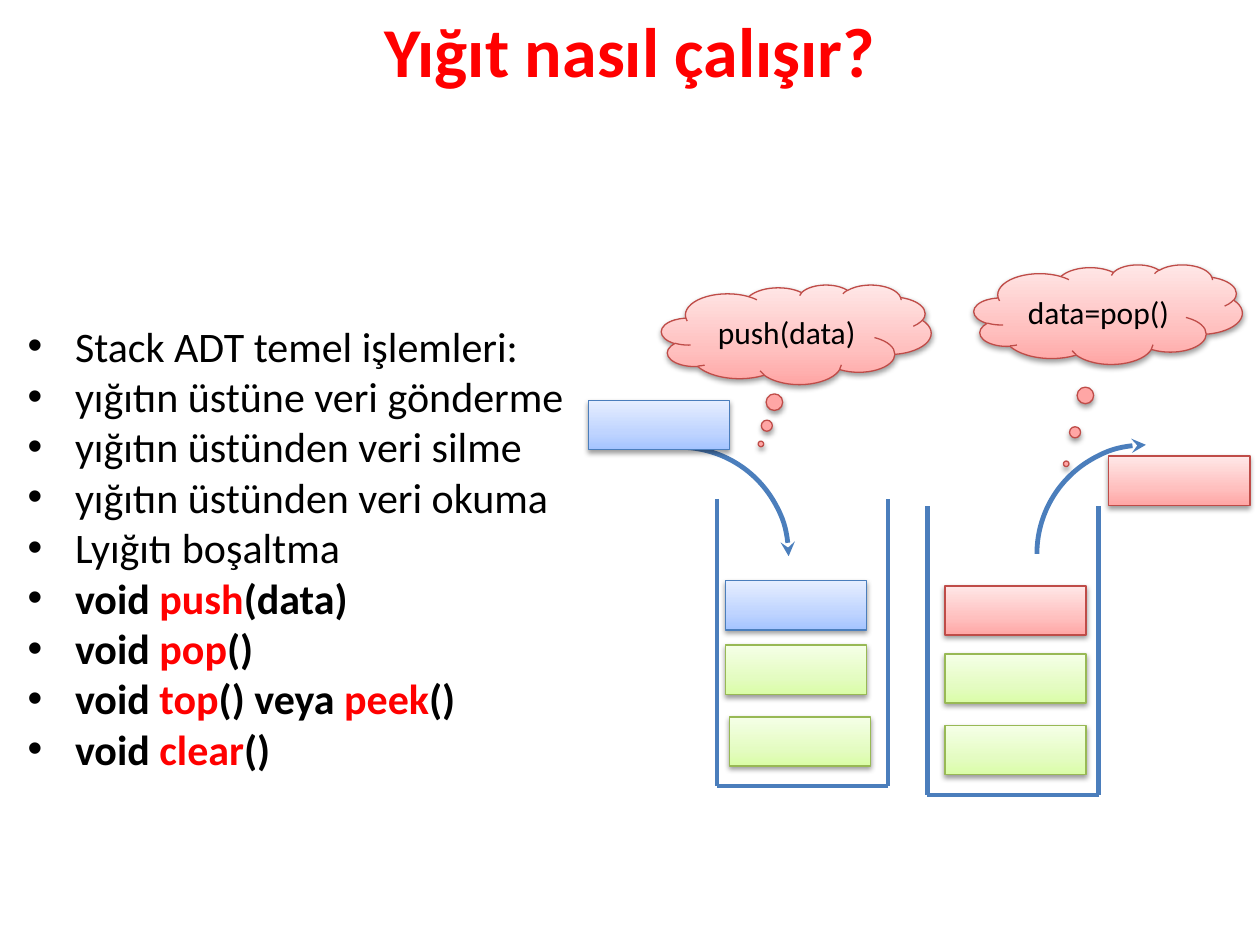
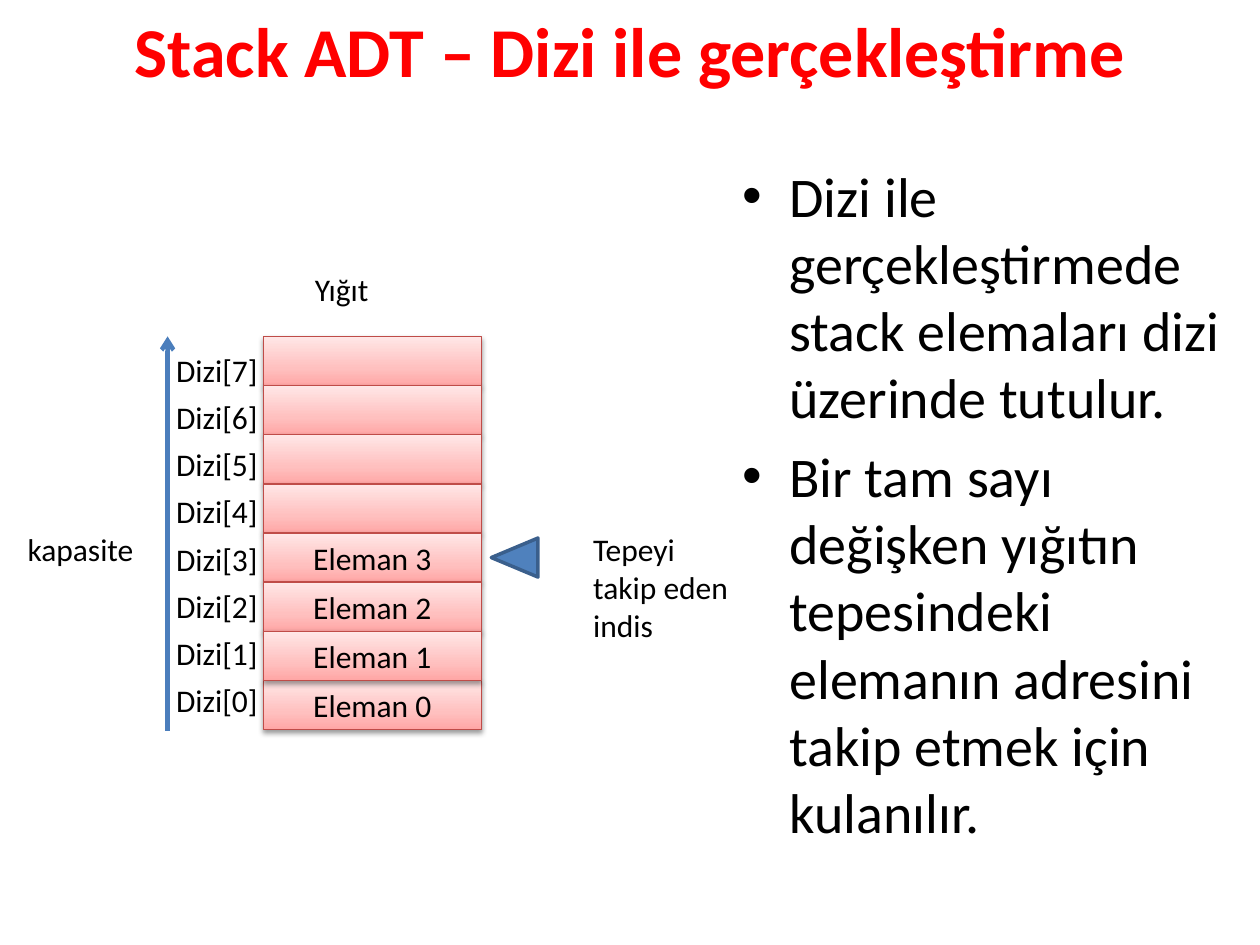
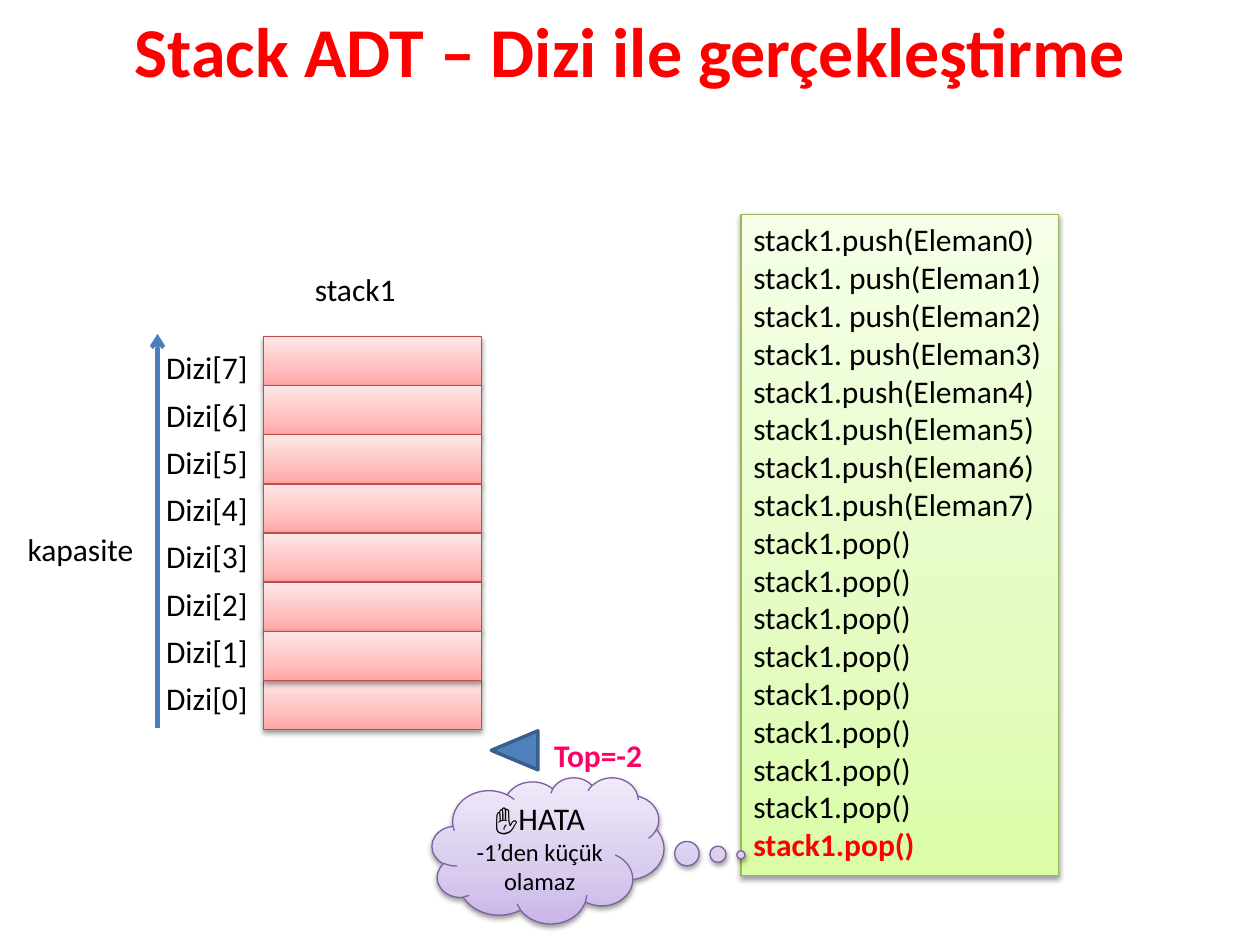
from copy import deepcopy

from lxml.etree import SubElement
from pptx import Presentation
from pptx.dml.color import RGBColor
from pptx.enum.shapes import MSO_CONNECTOR, MSO_SHAPE
from pptx.enum.text import MSO_ANCHOR, MSO_AUTO_SIZE, PP_ALIGN
from pptx.oxml.ns import qn
from pptx.util import Inches, Pt

BLACK = RGBColor(0x00, 0x00, 0x00)
RED = RGBColor(0xFF, 0x00, 0x00)
PINK = RGBColor(0xFF, 0x00, 0x66)
LINE_BLUE = RGBColor(0x4B, 0x7E, 0xBC)
POINTER_FILL = RGBColor(0x4F, 0x81, 0xBD)
POINTER_LINE = RGBColor(0x3A, 0x5F, 0x8C)

THEMES = {
    "red": ("FFA6A5", "FFC0BF", "FFE7E7", "BF4C48"),
    "green": ("DAFDA7", "E4FCC2", "F5FFE7", "98B955"),
    "blue": ("A4C4FF", "BFD4FF", "E6EEFF", "4B7EBC"),
    "purple": ("C9B5E8", "D8CBEE", "F0EAF9", "7D60A0"),
}
STOPS = (0, 0.35, 1)

TEXT = {"size": Pt(18), "name": "Calibri", "bold": False, "color": BLACK}
TITLE = {"size": Pt(40), "bold": True, "color": RED}
KEYWORD = {"bold": True, "color": RED}
BOLD = {"bold": True}

ARRAY_TITLE = "Stack ADT – Dizi ile gerçekleştirme"
OPERATIONS = [
    "Stack ADT temel işlemleri:",
    "yığıtın üstüne veri gönderme",
    "yığıtın üstünden veri silme",
    "yığıtın üstünden veri okuma",
    "Lyığıtı boşaltma",
    [("void ", BOLD), ("push", KEYWORD), ("(data)", BOLD)],
    [("void ", BOLD), ("pop", KEYWORD), ("()", BOLD)],
    [("void ", BOLD), ("top", KEYWORD), ("() veya ", BOLD), ("peek", KEYWORD), ("()", BOLD)],
    [("void ", BOLD), ("clear", KEYWORD), ("()", BOLD)],
]
ARRAY_NOTES = [
    "Dizi ile gerçekleştirmede stack elemaları dizi üzerinde tutulur.",
    "Bir tam sayı değişken yığıtın tepesindeki elemanın adresini takip etmek için kulanılır.",
]
CALLS = [
    "stack1.push(Eleman0)",
    *[f"stack1. push(Eleman{number})" for number in range(1, 4)],
    *[f"stack1.push(Eleman{number})" for number in range(4, 8)],
    *["stack1.pop()"] * 8,
    [("stack1.pop()", KEYWORD)],
]
ERROR = ["✋HATA", [("-1’den küçük olamaz", {"size": Pt(14)})]]

CONTAINERS = [(5.69, 3.96, 7.05, 6.24), (7.36, 4.02, 8.72, 6.31)]
ARCS = [(4.53, 3.55, 0), (8.23, 3.53, 270)]
ITEMS = [
    (5.79, 5.69, "green"), (5.76, 5.12, "green"), (5.76, 4.61, "blue"),
    (7.5, 5.76, "green"), (7.5, 5.19, "green"), (7.5, 4.65, "red"),
    (4.67, 3.18, "blue"), (8.8, 3.62, "red"),
]
CLOUDS = [
    ((5.25, 2.26, 2.14, 0.79), (-0.131, 1.099), "push(data)"),
    ((7.73, 2.1, 2.13, 0.79), (-0.156, 1.501), "data=pop()"),
]
CELL_ORDER = (7, 6, 5, 4, 3, 2, 0, 1)
CELL_HEIGHT = 0.39
LABEL_STEP = 0.375

presentation = Presentation()
presentation.slide_width = Inches(10)
presentation.slide_height = Inches(7.5)


def inches(box):
    return [Inches(value) for value in box]


def write(frame, paragraphs, alignment=PP_ALIGN.LEFT, space_before=None, **base):
    for index, content in enumerate(paragraphs):
        paragraph = frame.paragraphs[0] if index == 0 else frame.add_paragraph()
        paragraph.alignment = alignment
        paragraph.space_before = space_before
        runs = [(content, {})] if isinstance(content, str) else content
        for text, changes in runs:
            run = paragraph.add_run()
            run.text = text
            for name, value in {**TEXT, **base, **changes}.items():
                if name == "color":
                    run.font.color.rgb = value
                else:
                    setattr(run.font, name, value)


def place(shape, box):
    for name, value in zip(("left", "top", "width", "height"), inches(box)):
        setattr(shape, name, value)


def add_slide(layout, title):
    slide = presentation.slides.add_slide(presentation.slide_layouts[layout])
    place(slide.shapes.title, (0, -0.03, 10, 0.85))
    write(slide.shapes.title.text_frame, [title], PP_ALIGN.CENTER, **TITLE)
    return slide


def fill_body(slide, box, paragraphs, **formats):
    body = slide.placeholders[1]
    place(body, box)
    body.text_frame.auto_size = MSO_AUTO_SIZE.NONE
    write(body.text_frame, paragraphs, **formats)


def add_label(slide, box, text, wrap=True, **formats):
    frame = slide.shapes.add_textbox(*inches(box)).text_frame
    frame.word_wrap = wrap
    write(frame, [text], **formats)


def add_block(slide, kind, box, theme, paragraphs=(), alignment=PP_ALIGN.CENTER):
    shape = slide.shapes.add_shape(kind, *inches(box))
    *shades, outline = THEMES[theme]
    shape.fill.gradient()
    shape.fill.gradient_angle = 90
    stop_list = shape._element.spPr.find(".//" + qn("a:gsLst"))
    stop_list.append(deepcopy(stop_list[-1]))
    for stop, position, shade in zip(shape.fill.gradient_stops, STOPS, shades):
        stop.position = position
        stop.color.rgb = RGBColor.from_string(shade)
    shape.line.color.rgb = RGBColor.from_string(outline)
    shape.line.width = Pt(0.75)
    shape.shadow.inherit = False
    effects = shape._element.spPr.find(qn("a:effectLst"))
    shadow = SubElement(effects, qn("a:outerShdw"), blurRad=str(Pt(3.1)),
                        dist=str(Pt(1.6)), dir="5400000", rotWithShape="0")
    color = SubElement(shadow, qn("a:srgbClr"), val="000000")
    SubElement(color, qn("a:alpha"), val="38000")
    shape.text_frame.vertical_anchor = MSO_ANCHOR.MIDDLE
    write(shape.text_frame, paragraphs, alignment)
    return shape


def add_cloud(slide, box, tail, theme, paragraphs):
    cloud = add_block(slide, MSO_SHAPE.CLOUD_CALLOUT, box, theme, paragraphs)
    for index, value in enumerate(tail):
        cloud.adjustments[index] = value
    return cloud


def style_line(line, width, arrow=None):
    line.color.rgb = LINE_BLUE
    line.width = Pt(width)
    if arrow:
        SubElement(line._get_or_add_ln(), qn("a:tailEnd"), type=arrow)


def add_line(slide, start, end, arrow=None):
    connector = slide.shapes.add_connector(MSO_CONNECTOR.STRAIGHT, *inches(start + end))
    style_line(connector.line, 2.5, arrow)
    SubElement(connector._element.spPr, qn("a:effectLst"))


def add_pointer(slide, top):
    pointer = slide.shapes.add_shape(MSO_SHAPE.ISOSCELES_TRIANGLE, *inches((3.93, top, 0.31, 0.37)))
    pointer.rotation = 270
    pointer.shadow.inherit = False
    pointer.fill.solid()
    pointer.fill.fore_color.rgb = POINTER_FILL
    pointer.line.color.rgb = POINTER_LINE
    pointer.line.width = Pt(2)


def add_array(slide, name, filled, axis, bottom):
    for number in CELL_ORDER:
        content = [f"Eleman {number}"] if number < filled else []
        top = 2.67 + (7 - number) * CELL_HEIGHT
        add_block(slide, MSO_SHAPE.RECTANGLE, (2.09, top, 1.73, CELL_HEIGHT), "red", content)
    add_label(slide, (2.4, 2.09, 1.02, 0.4), name)
    add_label(slide, (0.12, 4.16, 1.05, 0.4), "kapasite", wrap=False)
    add_line(slide, (axis, bottom), (axis, bottom - 3.13), "arrow")
    for number in range(8):
        top = bottom - 0.44 - number * LABEL_STEP
        add_label(slide, (axis - 0.03, top, 1.26, 0.4), f"Dizi[{number}]")


slide = add_slide(1, "Yığıt nasıl çalışır?")
fill_body(slide, (0.12, 2.49, 4.72, 4.04), OPERATIONS, size=Pt(24), space_before=Pt(0))
for left, top, right, bottom in CONTAINERS:
    corners = [(left, top), (left, bottom), (right, bottom), (right, top)]
    for start, end in zip(corners, corners[1:]):
        add_line(slide, start, end)
for left, top, rotation in ARCS:
    arc = slide.shapes.add_shape(MSO_SHAPE.ARC, *inches((left, top, 1.73, 1.73)))
    arc.rotation = rotation
    arc.fill.background()
    arc.shadow.inherit = False
    style_line(arc.line, 2.75, "stealth")
for box, tail, text in CLOUDS:
    add_cloud(slide, box, tail, "red", [text])
for left, top, theme in ITEMS:
    add_block(slide, MSO_SHAPE.RECTANGLE, (left, top, 1.12, 0.39), theme)

slide = add_slide(1, ARRAY_TITLE)
fill_body(slide, (5.79, 1.23, 4.09, 5.47), ARRAY_NOTES, size=Pt(32))
add_array(slide, "Yığıt", filled=4, axis=1.33, bottom=5.8)
add_pointer(slide, 4.24)
add_label(slide, (4.61, 4.16, 1.34, 1.01), "Tepeyi takip eden indis")

slide = add_slide(5, ARRAY_TITLE)
add_array(slide, "stack1", filled=0, axis=1.25, bottom=5.78)
add_pointer(slide, 5.77)
add_label(slide, (4.3, 5.79, 1.34, 0.4), "Top=-2", bold=True, color=PINK)
calls = add_block(slide, MSO_SHAPE.RECTANGLE, (5.88, 1.7, 2.52, 5.25), "green", CALLS, PP_ALIGN.LEFT)
calls.text_frame.vertical_anchor = MSO_ANCHOR.TOP
cloud = add_cloud(slide, (3.43, 6.17, 1.84, 1.16), (0.832, 0.03), "purple", ERROR)
for side in ("left", "top", "right", "bottom"):
    setattr(cloud.text_frame, f"margin_{side}", 0)

presentation.save("out.pptx")
